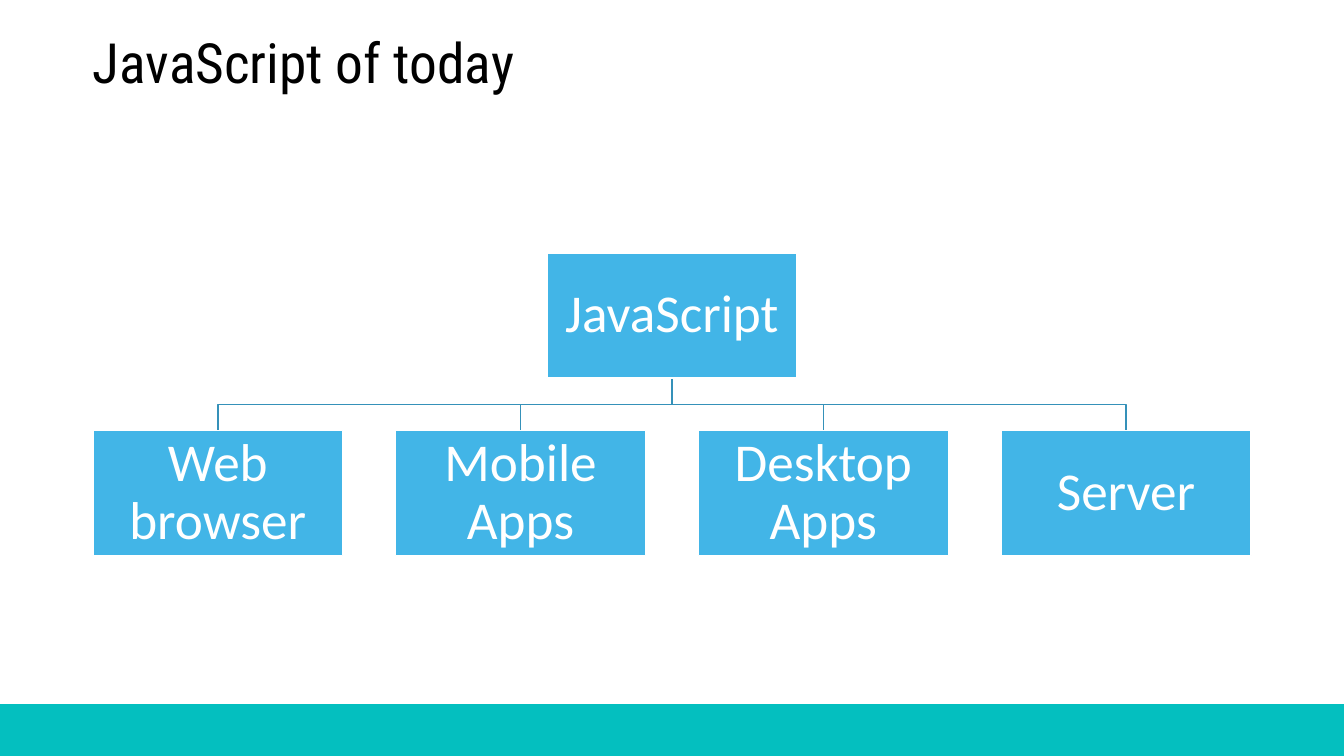
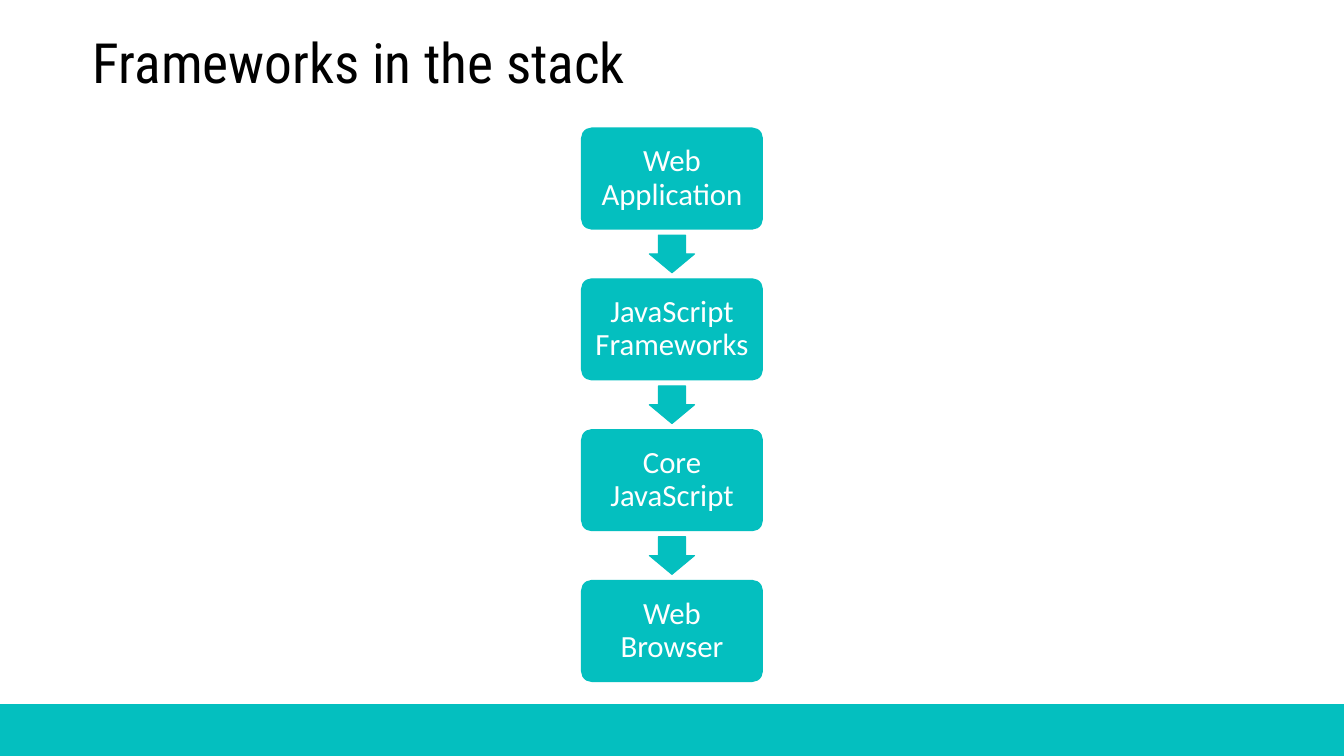
from dataclasses import dataclass

from pptx import Presentation
from pptx.dml.color import RGBColor
from pptx.enum.shapes import MSO_SHAPE
from pptx.enum.text import MSO_ANCHOR, MSO_AUTO_SIZE, PP_ALIGN
from pptx.shapes.autoshape import Shape
from pptx.slide import Slide
from pptx.util import Cm, Pt

RECT = MSO_SHAPE.RECTANGLE
ROUND = MSO_SHAPE.ROUNDED_RECTANGLE
ARROW = MSO_SHAPE.DOWN_ARROW
MIDDLE = MSO_ANCHOR.MIDDLE
BOTTOM = MSO_ANCHOR.BOTTOM
CENTER = PP_ALIGN.CENTER
LEFT = PP_ALIGN.LEFT
NO_FIT = MSO_AUTO_SIZE.NONE

TEAL = "04BFBF"
BLUE = "42B5E7"
STEEL = "3591B9"
WHITE = "FFFFFF"
BLACK = "000000"

WIDTH, HEIGHT = 33.87, 19.05
MID = WIDTH / 2
MARGIN = 2.34
BAND = 1.3


@dataclass(frozen=True)
class Style:
    kind: MSO_SHAPE
    width: float
    height: float
    fill: str
    line: str
    weight: float = 1
    size: float = 0
    inset: float = 0
    adjust: tuple[float, ...] = ()


STRIP = Style(RECT, WIDTH, BAND, TEAL, TEAL)
NODE = Style(RECT, 6.3, 3.15, BLUE, WHITE, size=38, inset=0.08)
STEP = Style(ROUND, 4.55, 2.54, TEAL, TEAL, size=22, inset=0.23, adjust=(0.1,))
POINTER = Style(ARROW, 1.14, 0.95, TEAL, TEAL, weight=0.75, adjust=(0.6, 0.5))


def color(code: str) -> RGBColor:
    return RGBColor.from_string(code)


def add_box(slide: Slide, style: Style, left: float, top: float, text: str = "") -> Shape:
    box = slide.shapes.add_shape(
        style.kind, Cm(left), Cm(top), Cm(style.width), Cm(style.height))
    box.shadow.inherit = False
    box.fill.solid()
    box.fill.fore_color.rgb = color(style.fill)
    box.line.color.rgb = color(style.line)
    box.line.width = Pt(style.weight)
    for index, value in enumerate(style.adjust):
        box.adjustments[index] = value
    if text:
        frame = box.text_frame
        frame.word_wrap = True
        frame.vertical_anchor = MIDDLE
        frame.margin_left = frame.margin_right = Cm(style.inset)
        frame.margin_top = frame.margin_bottom = Cm(style.inset)
        frame.text = text
        par = frame.paragraphs[0]
        par.alignment = CENTER
        par.line_spacing = 0.9
        par.font.name = "Calibri"
        par.font.size = Pt(style.size)
        par.font.color.rgb = color(WHITE)
    return box


def add_branch(slide: Slide, x1: float, y1: float, x2: float, y2: float) -> Shape:
    rail = (y1 + y2) / 2
    bends = [(x1, rail), (x2, rail), (x2, y2)]
    pen = slide.shapes.build_freeform(Cm(x1), Cm(y1))
    pen.add_line_segments([(Cm(x), Cm(y)) for x, y in bends], close=False)
    branch = pen.convert_to_shape()
    branch.shadow.inherit = False
    branch.fill.background()
    branch.line.color.rgb = color(STEEL)
    branch.line.width = Pt(1)
    return branch


def add_page(deck: Presentation, text: str) -> Slide:
    slide = deck.slides.add_slide(deck.slide_layouts[5])
    add_box(slide, STRIP, 0, HEIGHT - BAND)
    title = slide.shapes.title
    title.left, title.top = Cm(MARGIN), Cm(0.91)
    title.width, title.height = Cm(25.81), Cm(1.63)
    frame = title.text_frame
    frame.text = text
    frame.auto_size = NO_FIT
    frame.word_wrap = True
    frame.vertical_anchor = BOTTOM
    frame.margin_left = 0
    frame.margin_right = Cm(0.25)
    frame.margin_top = frame.margin_bottom = Cm(0.13)
    par = frame.paragraphs[0]
    par.alignment = LEFT
    par.line_spacing = 0.9
    par.font.name = "Roboto Condensed"
    par.font.size = Pt(39.6)
    par.font.color.rgb = color(BLACK)
    return slide


def add_tree(slide: Slide, root: str, leaves: list[str]) -> None:
    top, low = 6.38, 10.85
    half = NODE.width / 2
    pitch = (WIDTH - 2 * MARGIN - NODE.width) / (len(leaves) - 1)
    lefts = [MARGIN + index * pitch for index in range(len(leaves))]
    for left in reversed(lefts):
        add_branch(slide, MID, top + NODE.height, left + half, low)
    add_box(slide, NODE, MID - half, top, root)
    for left, text in zip(lefts, leaves):
        add_box(slide, NODE, left, low, text)


def add_stack(slide: Slide, steps: list[str]) -> None:
    start, pitch = 3.23, 3.8
    gap = pitch - STEP.height
    for index, text in enumerate(steps):
        top = start + index * pitch
        if index:
            above = top - (gap + POINTER.height) / 2
            add_box(slide, POINTER, MID - POINTER.width / 2, above)
        add_box(slide, STEP, MID - STEP.width / 2, top, text)


def main() -> None:
    deck = Presentation()
    deck.slide_width, deck.slide_height = Cm(WIDTH), Cm(HEIGHT)
    add_tree(add_page(deck, "JavaScript of today"), "JavaScript",
             ["Web browser", "Mobile Apps", "Desktop Apps", "Server"])
    add_stack(add_page(deck, "Frameworks in the stack"),
              ["Web Application", "JavaScript Frameworks",
               "Core JavaScript", "Web Browser"])
    deck.save("out.pptx")


if __name__ == "__main__":
    main()
